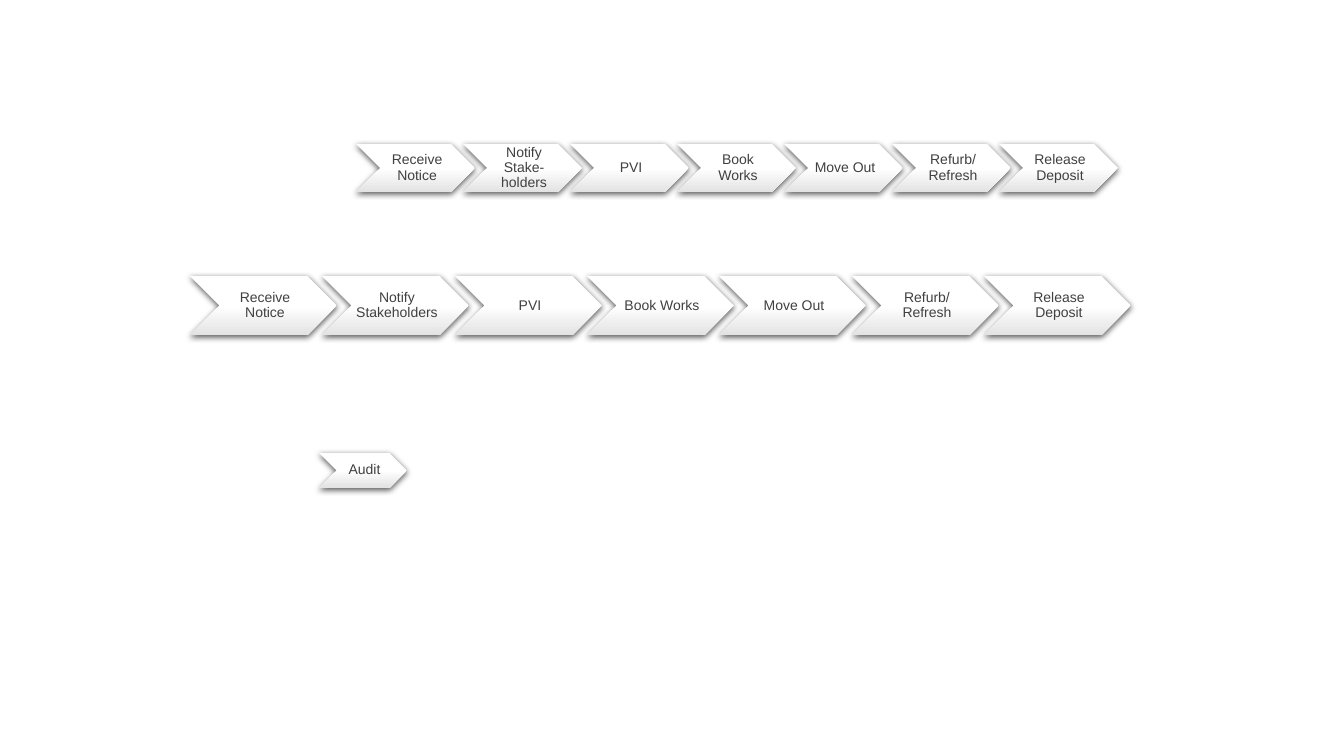
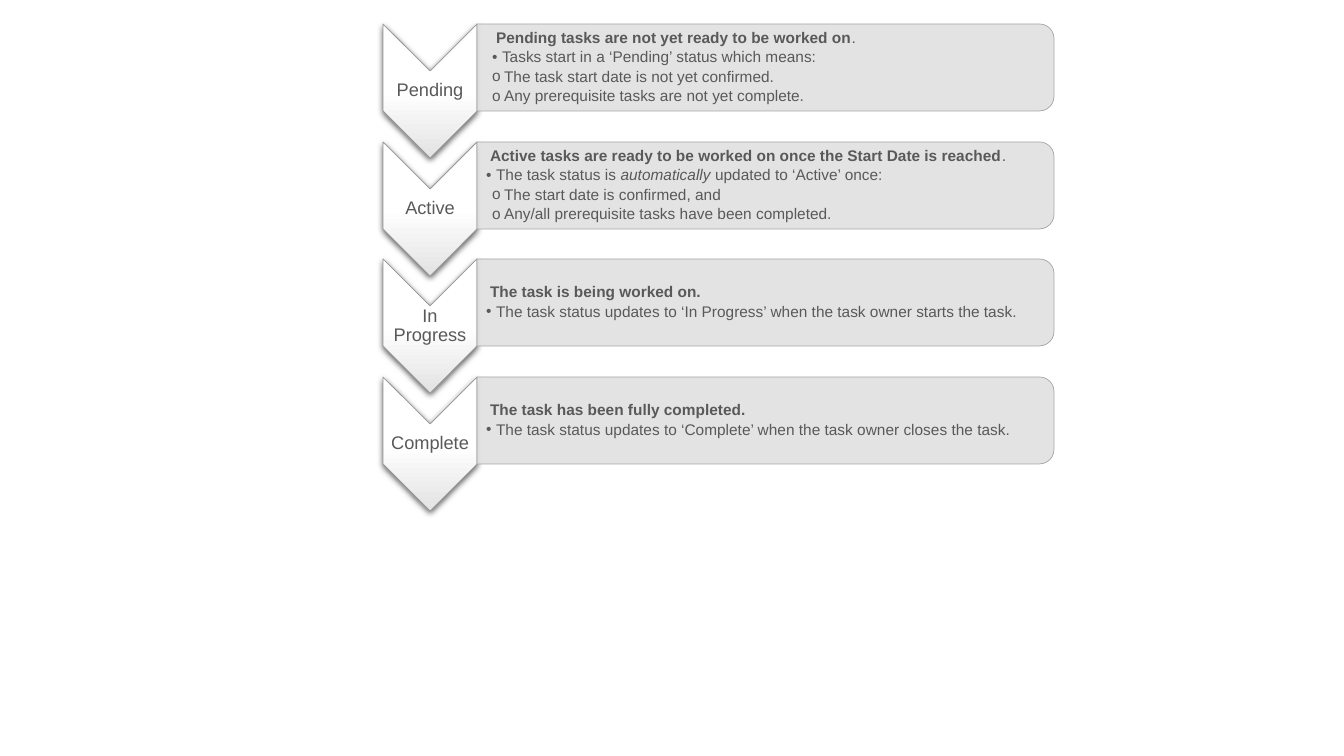
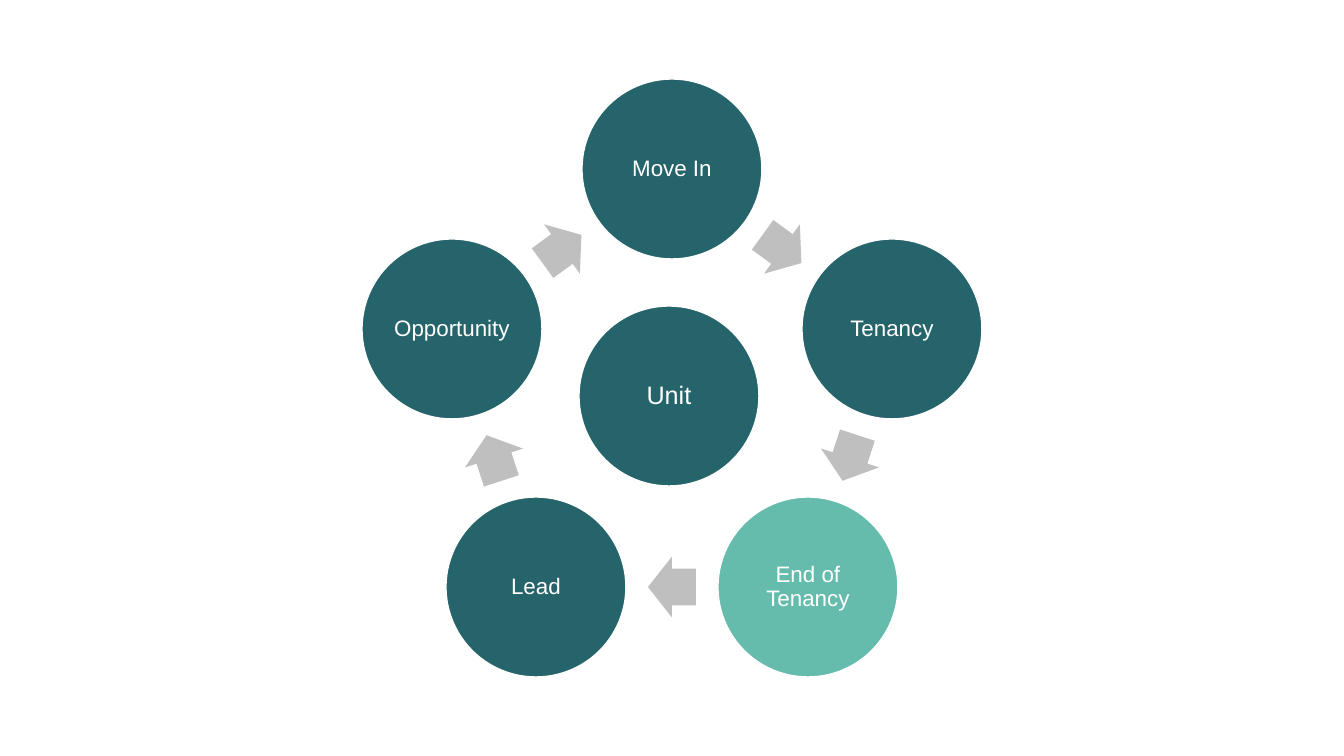
from math import cos, radians, sin

from lxml.etree import SubElement
from pptx import Presentation
from pptx.dml.color import RGBColor
from pptx.enum.shapes import MSO_SHAPE as SHAPE
from pptx.enum.text import MSO_ANCHOR as ANCHOR, PP_ALIGN as ALIGN
from pptx.oxml.ns import qn
from pptx.util import Emu, Pt

PX_PER_INCH = 100.8
FONT = "Arial"
COLORS = {
    "white": "FFFFFF",
    "silver": "E3E3E3",
    "panel": "E1E1E1",
    "panel_line": "A5A5A5",
    "chevron_line": "969696",
    "arrow": "BFBFBF",
    "step_text": "404040",
    "status_text": "595959",
    "teal": "25646A",
    "mint": "65BCAC",
    "shadow": "000000",
}
STEP_FORMAT = {"size": Pt(10), "color": "step_text"}
STATUS_FORMAT = {"size": Pt(13), "color": "status_text"}
DETAIL_FORMAT = {"size": Pt(11), "color": "status_text"}
CIRCLE_FORMAT = {"size": Pt(16), "color": "white"}
HUB_FORMAT = {"size": Pt(18), "color": "white"}

STEPS = ["Receive Notice", "Notify Stakeholders", "PVI", "Book Works",
         "Move Out", "Refurb/\nRefresh", "Release Deposit"]
NARROW_STEPS = [step.replace("Stakeholders", "Stake-holders") for step in STEPS]

BOLD, ITALIC = {"bold": True}, {"italic": True}
# Level name: bullet character, left margin and hanging indent in px
LEVELS = {"title": ("", 4, 0), "point": ("•", 10, -10), "subpoint": ("o", 18, -12)}
# Status, shift of its title and points in px, then (level, spans) lines
STATUSES = [
    ("Pending", 6, [
        ("title", [("Pending tasks are not yet ready to be worked on", BOLD), (".", {})]),
        ("point", [("Tasks start in a ‘Pending’ status which means:", {})]),
        ("subpoint", [("The task start date is not yet confirmed.", {})]),
        ("subpoint", [("Any prerequisite tasks are not yet complete.", {})]),
    ]),
    ("Active", 0, [
        ("title", [("Active tasks are ready to be worked on once the Start Date is reached",
                    BOLD), (".", {})]),
        ("point", [("The task status is ", {}), ("automatically", ITALIC),
                   (" updated to ‘Active’ once:", {})]),
        ("subpoint", [("The start date is confirmed, and", {})]),
        ("subpoint", [("Any/all prerequisite tasks have been completed.", {})]),
    ]),
    ("In Progress", 0, [
        ("title", [("The task is being worked on.", BOLD)]),
        ("point", [("The task status updates to ‘In Progress’ when the task owner "
                    "starts the task.", {})]),
    ]),
    ("Complete", 0, [
        ("title", [("The task has been fully completed.", BOLD)]),
        ("point", [("The task status updates to ‘Complete’ when the task owner "
                    "closes the task.", {})]),
    ]),
]
CYCLE = [("Move In", "teal"), ("Tenancy", "teal"), ("End of Tenancy", "mint"),
         ("Lead", "teal"), ("Opportunity", "teal")]


def px(count):
    return Emu(round(count * 914400 / PX_PER_INCH))


def rgb(name):
    return RGBColor.from_string(COLORS[name])


def add_figure(page, kind, left, top, width, height, fill=None, line=None, weight=0.5):
    shape = page.shapes.add_shape(kind, px(left), px(top), px(width), px(height))
    shape.shadow.inherit = False
    if fill:
        shape.fill.solid()
        shape.fill.fore_color.rgb = rgb(fill)
    if line:
        shape.line.color.rgb = rgb(line)
        shape.line.width = Pt(weight)
    else:
        shape.line.fill.background()
    return shape


def add_turned(page, kind, left, top, width, height, **style):
    """Add a shape turned by 90 degrees that covers the given box once turned."""
    shift = (width - height) / 2
    shape = add_figure(page, kind, left + shift, top - shift, height, width, **style)
    shape.rotation = 90
    return shape


def make_glossy(shape):
    """Give a white to silver downward gradient and a soft shadow."""
    shape.fill.gradient()
    shape.fill.gradient_angle = 270
    for stop, position, name in zip(shape.fill.gradient_stops, (0.5, 1), ("white", "silver")):
        stop.position = position
        stop.color.rgb = rgb(name)
    properties = shape.element.spPr
    properties.find(qn("a:gradFill")).set("rotWithShape", "0")
    shadow = SubElement(properties.find(qn("a:effectLst")), qn("a:outerShdw"),
                        blurRad=str(Pt(4.5)), dist=str(Pt(1.5)), dir="5400000",
                        algn="ctr", rotWithShape="0")
    color = SubElement(shadow, qn("a:srgbClr"), val=COLORS["shadow"])
    SubElement(color, qn("a:alpha"), val="63000")


def set_frame(shape, insets):
    frame = shape.text_frame
    frame.word_wrap = True
    frame.vertical_anchor = ANCHOR.MIDDLE
    for side, inset in zip(("left", "top", "right", "bottom"), insets):
        setattr(frame, f"margin_{side}", px(inset))
    return frame


def add_span(para, text, size, color, **styles):
    span = para.add_run()
    span.text = text
    span.font.color.rgb = rgb(color)
    for name, value in {"name": FONT, "size": size, **styles}.items():
        setattr(span.font, name, value)


def write_label(shape, text, insets, style):
    para = set_frame(shape, insets).paragraphs[0]
    para.alignment = ALIGN.CENTER
    para.line_spacing = 0.9
    for index, line in enumerate(text.split("\n")):
        if index:
            para.add_line_break()
            SubElement(para._p[-1], qn("a:rPr"), sz=str(int(style["size"].pt * 100)))
        add_span(para, line, **style)


def write_details(shape, lines, shift):
    frame = set_frame(shape, (9, 1, 1, 1))
    for index, (level, spans) in enumerate(lines):
        para = frame.add_paragraph() if index else frame.paragraphs[0]
        bullet, margin, indent = LEVELS[level]
        if level != "subpoint":
            margin += shift
        para.line_spacing = 0.9
        para.space_after = Pt(2)
        properties = para._p.get_or_add_pPr()
        properties.set("marL", str(px(margin)))
        properties.set("indent", str(px(indent)))
        if bullet:
            SubElement(properties, qn("a:buFont"), typeface=FONT)
            SubElement(properties, qn("a:buChar"), char=bullet)
        for text, styles in spans:
            add_span(para, text, **DETAIL_FORMAT, **styles)


def add_text_box(page, left, top, width, height):
    return page.shapes.add_textbox(px(left), px(top), px(width), px(height))


def add_process(page, left, top, width, steps):
    """Add a row of chevrons that overlap by a tenth of their width."""
    height = round(width * 0.4)
    for index, step in enumerate(steps):
        chevron = add_figure(page, SHAPE.CHEVRON, left + round(index * width * 0.9), top,
                             width, height)
        make_glossy(chevron)
        write_label(chevron, step, (4, 1, 1, 1), STEP_FORMAT)


def add_status(page, top, status, shift, lines):
    left, width = 383, 94
    chevron = add_turned(page, SHAPE.CHEVRON, left, top, width, 134, line="chevron_line")
    make_glossy(chevron)
    label = add_text_box(page, left, top + 47, width, 40)
    write_label(label, status, (1, 1, 1, 1), STATUS_FORMAT)
    panel = add_turned(page, SHAPE.ROUND_2_SAME_RECTANGLE, left + width, top, 577, 87,
                       fill="panel", line="panel_line")
    color = panel.element.spPr.find(qn("a:solidFill"))[0]
    SubElement(color, qn("a:alpha"), val="90000")
    write_details(add_text_box(page, left + width, top + 4, 573, 79), lines, shift)


def add_circle(page, center_x, center_y, text, fill, style):
    size = 180
    circle = add_figure(page, SHAPE.OVAL, center_x - size / 2, center_y - size / 2,
                        size, size, fill=fill, line="white", weight=1)
    write_label(circle, text, (2, 2, 2, 2), style)


def add_cycle(page, center_x, center_y, radius):
    """Set circles evenly on a ring, with an arrow halfway to each next one."""
    turn = 360 / len(CYCLE)
    arrow_width, arrow_height = 48, 61

    def ring_point(angle, distance):
        return (round(center_x + distance * sin(radians(angle))),
                round(center_y - distance * cos(radians(angle))))

    for index, (text, fill) in enumerate(CYCLE):
        add_circle(page, *ring_point(index * turn, radius), text, fill, CIRCLE_FORMAT)
        heading = (index + 0.5) * turn
        x, y = ring_point(heading, radius * cos(radians(turn / 2)))
        arrow = add_figure(page, SHAPE.RIGHT_ARROW, x - arrow_width / 2,
                           y - arrow_height / 2, arrow_width, arrow_height, fill="arrow")
        arrow.adjustments[0] = 0.6
        arrow.adjustments[1] = 0.5
        arrow.rotation = heading


def main():
    deck = Presentation()
    deck.slide_width, deck.slide_height = px(1344), px(756)
    process_page, status_page, cycle_page = (
        deck.slides.add_slide(deck.slide_layouts[6]) for _ in range(3))

    add_process(process_page, 356, 144, 119, NARROW_STEPS)
    add_process(process_page, 190, 276, 147, STEPS)
    add_process(process_page, 319, 453, 88, ["Audit"])

    for index, status in enumerate(STATUSES):
        add_status(status_page, round(24 + index * 117.6), *status)

    add_cycle(cycle_page, 672, 400, 231)
    add_circle(cycle_page, 669, 396, "Unit", "teal", HUB_FORMAT)

    deck.save("out.pptx")


if __name__ == "__main__":
    main()
